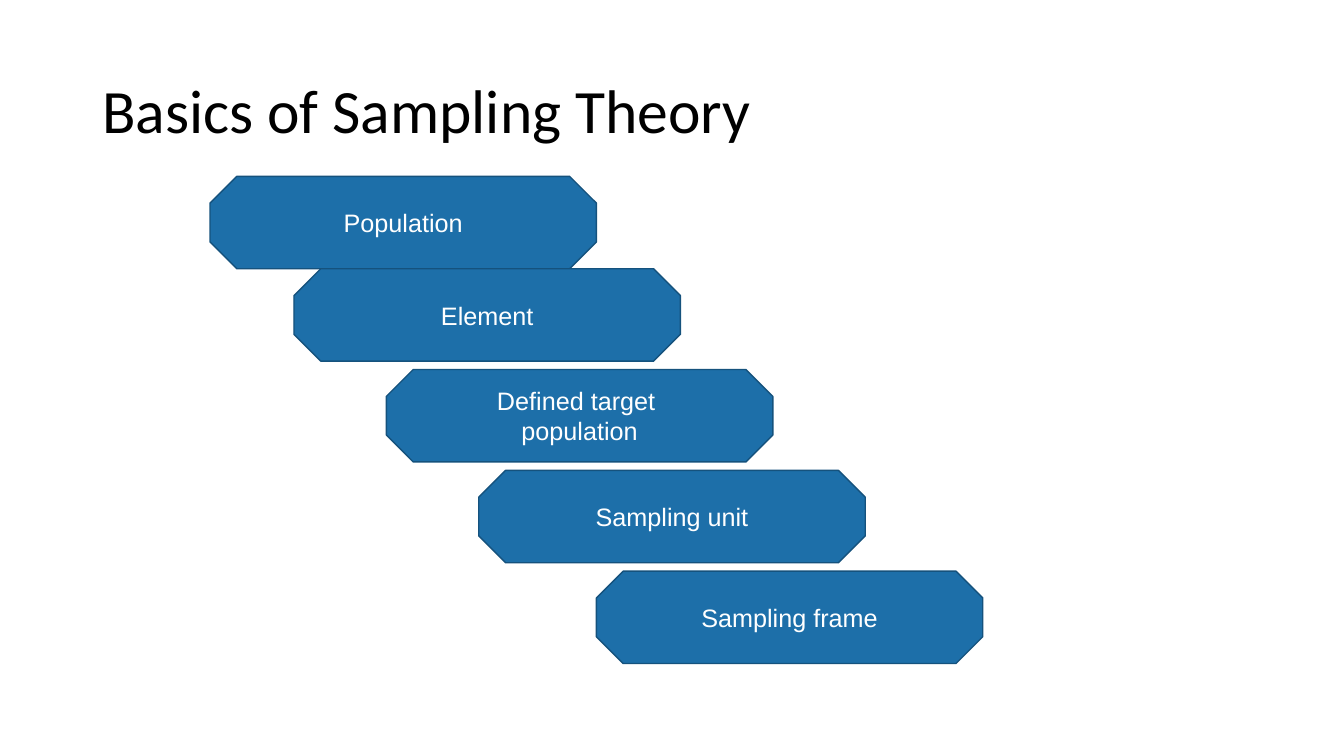
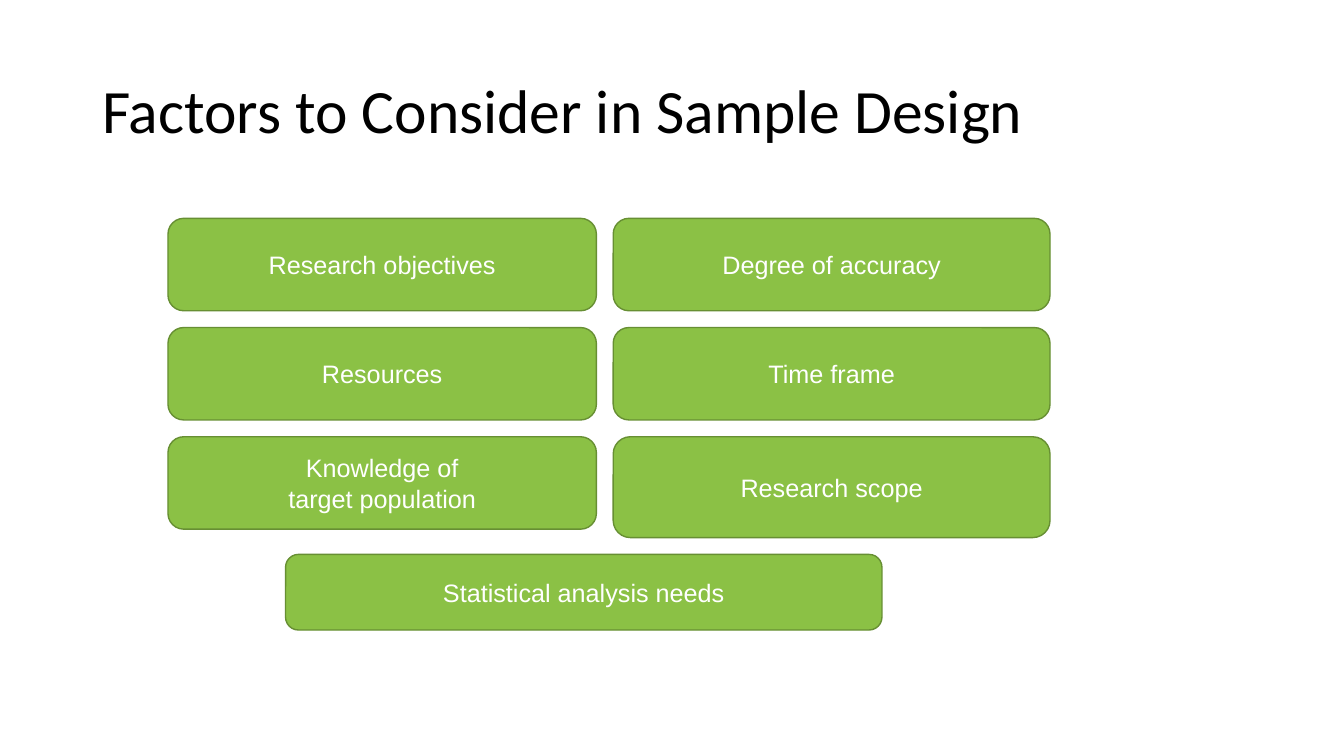
from dataclasses import dataclass

from pptx import Presentation
from pptx.dml.color import RGBColor
from pptx.enum.shapes import MSO_SHAPE
from pptx.enum.text import MSO_ANCHOR, PP_ALIGN
from pptx.util import Pt


# Colours, fonts and type sizes
@dataclass(frozen=True)
class Theme:
    blue: tuple = ("1D6FA9", "15527D")  # fill, outline
    green: tuple = ("8BC145", "678F33")
    title_font: str = "Calibri"
    title_size: int = 44
    title_color: str = "000000"
    label_font: str = "Arial"
    label_size: int = 18
    label_color: str = "FFFFFF"
    outline: int = 1


class Deck:
    """Holds the theme and the current slide."""

    def __init__(self, prs, theme):
        self.prs, self.theme, self.s = prs, theme, None

    def slide(self, title):
        self.s = self.prs.slides.add_slide(self.prs.slide_layouts[6])
        t = self.theme
        sp = self.s.shapes.add_textbox(Pt(66), Pt(29), Pt(828), Pt(104))
        self.text(sp.text_frame, [title], t.title_font, t.title_size, t.title_color,
                  {"alignment": PP_ALIGN.LEFT, "line_spacing": 0.9}, wrap=True)

    def text(self, tf, lines, font, size, color, para_format, wrap):
        tf.word_wrap, tf.vertical_anchor = wrap, MSO_ANCHOR.MIDDLE
        for i, line in enumerate(lines):
            p = tf.add_paragraph() if i else tf.paragraphs[0]
            for name, value in para_format.items():
                setattr(p, name, value)
            r = p.add_run()
            r.text = line
            for name, value in {"name": font, "size": Pt(size)}.items():
                setattr(r.font, name, value)
            r.font.color.rgb = RGBColor.from_string(color)

    def box(self, kind, adjust, colors, lines, x, y, w, h):
        t = self.theme
        fill, line = colors
        sp = self.s.shapes.add_shape(kind, Pt(x), Pt(y), Pt(w), Pt(h))
        sp.adjustments[0] = adjust
        sp.shadow.inherit = False
        sp.fill.solid()
        sp.fill.fore_color.rgb = RGBColor.from_string(fill)
        sp.line.color.rgb = RGBColor.from_string(line)
        sp.line.width = Pt(t.outline)
        self.text(sp.text_frame, lines, t.label_font, t.label_size, t.label_color,
                  {"alignment": PP_ALIGN.CENTER}, wrap=False)

    def octagon(self, lines, x, y, w, h):
        self.box(MSO_SHAPE.OCTAGON, 0.29, self.theme.blue, lines, x, y, w, h)

    def rounded(self, lines, x, y, w, h):
        self.box(MSO_SHAPE.ROUNDED_RECTANGLE, 0.17, self.theme.green, lines, x, y, w, h)


def sampling_theory(deck):
    deck.slide("Basics of Sampling Theory")
    # Staircase of terms
    steps = [
        (150, 126, ["Population"]),
        (210, 192, ["Element"]),
        (276, 264, ["Defined target ", "population"]),
        (342, 336, ["Sampling unit"]),
        (426, 408, ["Sampling frame"]),
    ]
    for x, y, lines in steps:
        deck.octagon(lines, x, y, 276, 66)


def sample_design(deck):
    deck.slide("Factors to Consider in Sample Design")
    # Two columns of factors; the last box on the right is taller
    top, pitch, height = 156, 78, 66
    rows = [
        (["Research objectives"], ["Degree of accuracy"], height),
        (["Resources"], ["Time frame"], height),
        (["Knowledge of", "target population"], ["Research scope"], 72),
    ]
    for i, (left, right, right_height) in enumerate(rows):
        y = top + i * pitch
        deck.rounded(left, 120, y, 306, height)
        deck.rounded(right, 438, y, 312, right_height)
    # Closing factor below both columns
    deck.rounded(["Statistical analysis needs"], 204, 396, 426, 54)


def main():
    prs = Presentation()
    prs.slide_width, prs.slide_height = Pt(960), Pt(540)
    deck = Deck(prs, Theme())
    sampling_theory(deck)
    sample_design(deck)
    prs.save("out.pptx")


if __name__ == "__main__":
    main()
